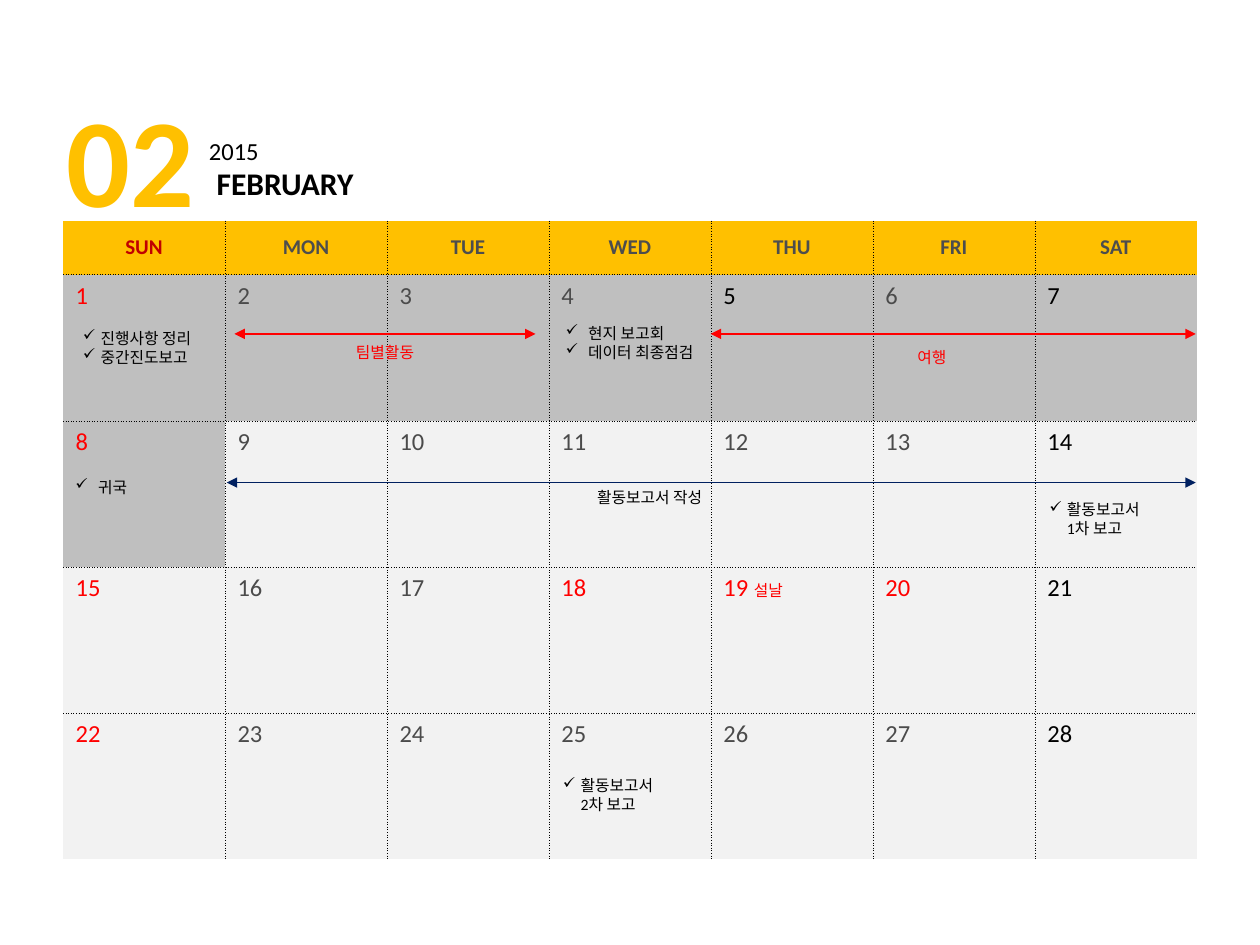
"""Build a monthly calendar slide for February 2015."""
from dataclasses import dataclass

from lxml import etree
from pptx import Presentation
from pptx import util as u
from pptx.dml.color import RGBColor
from pptx.enum import shapes, text
from pptx.oxml import ns

FONT = "Calibri"
BLACK, RED, NAVY, AMBER = "000000", "FF0000", "002060", "FFC000"
DARK_RED, HEADER_GRAY, DAY_GRAY = "C00000", "4D4D4D", "4B4B4B"
PAST, UPCOMING = "BFBFBF", "F2F2F2"
WEEKDAYS = ["SUN", "MON", "TUE", "WED", "THU", "FRI", "SAT"]
WEEKS = 4
HOLIDAYS = {18, 19, 20}
BLACK_DAYS = {5}
LAST_PAST_DAY = 8
LEFT, TOP, WIDTH = 0.5, 1.75, 9
HEADER_HEIGHT, WEEK_HEIGHT = 0.43, 1.16


@dataclass
class Label:
    text: str
    x: float
    y: float
    w: float
    h: float
    size: float = 9
    color: str = BLACK
    bold: bool = False
    centered: bool = False


@dataclass
class Checklist:
    lines: list[str]
    x: float
    y: float
    w: float
    h: float
    indent: float
    checked: int


@dataclass
class Span:
    x1: float
    x2: float
    y: float
    color: str


TITLE = Label("FEBRUARY", 1.62, 1.25, 1.35, 0.4, 18, bold=True)
LABELS = [
    Label("02", 0.43, 0.6, 1.25, 1.31, 72, AMBER, True),
    Label("2015", 1.56, 1.03, 0.62, 0.34, 14),
    Label("활동보고서 작성", 4.64, 3.82, 1.14, 0.25),
    Label("팀별활동", 2.7, 2.67, 0.71, 0.25, color=RED, centered=True),
    Label("여행", 7.17, 2.71, 0.45, 0.25, color=RED, centered=True),
]
CHECKLISTS = [
    Checklist(["활동보고서", "1차 보고"], 8.23, 3.92, 0.96, 0.4, 0.14, 1),
    Checklist(["활동보고서", "2차 보고"], 4.37, 6.11, 0.96, 0.4, 0.14, 1),
    Checklist(["진행사항 정리", "중간진도보고"], 0.56, 2.56, 1.12, 0.4, 0.14, 2),
    Checklist(["현지 보고회", "데이터 최종점검"], 4.39, 2.52, 1.27, 0.4, 0.18, 2),
    Checklist(["귀국"], 0.5, 3.74, 0.65, 0.25, 0.18, 1),
]
SPANS = [
    Span(1.8, 9.49, 3.83, NAVY),
    Span(1.86, 4.25, 2.65, RED),
    Span(5.64, 9.49, 2.65, RED),
]


def rgb(color: str) -> RGBColor:
    return RGBColor.from_string(color)


def set_font(font, size: float, color: str, bold: bool = False) -> None:
    font.name, font.size, font.bold = FONT, u.Pt(size), bold
    font.color.rgb = rgb(color)


def add_child(parent, tag: str, **attributes: str):
    return etree.SubElement(parent, ns.qn(tag), attributes)


def place(s, item) -> None:
    s.left, s.top = u.Inches(item.x), u.Inches(item.y)
    s.width, s.height = u.Inches(item.w), u.Inches(item.h)


def add_box(slide, item):
    s = slide.shapes.add_textbox(0, 0, 0, 0)
    place(s, item)
    s.text_frame.word_wrap = True
    return s


def write_label(s, label: Label) -> None:
    tf = s.text_frame
    tf.auto_size = text.MSO_AUTO_SIZE.NONE
    tf.vertical_anchor = text.MSO_ANCHOR.TOP
    p = tf.paragraphs[0]
    p.text = label.text
    p.alignment = text.PP_ALIGN.CENTER if label.centered else text.PP_ALIGN.LEFT
    set_font(p.font, label.size, label.color, label.bold)


def draw_checklist(slide, item: Checklist) -> None:
    tf = add_box(slide, item).text_frame
    for i, line in enumerate(item.lines):
        p = tf.paragraphs[0] if i == 0 else tf.add_paragraph()
        p.text = line
        pPr = p._p.get_or_add_pPr()
        pPr.set("marL", str(u.Inches(item.indent)))
        if i < item.checked:
            pPr.set("indent", str(-u.Inches(item.indent)))
            add_child(pPr, "a:buChar", char="✓")
        set_font(p.font, 9, BLACK)


def draw_span(slide, span: Span) -> None:
    s = slide.shapes.add_connector(
        shapes.MSO_CONNECTOR.STRAIGHT,
        u.Inches(span.x1), u.Inches(span.y), u.Inches(span.x2), u.Inches(span.y))
    s.line.color.rgb = rgb(span.color)
    s.line.width = u.Pt(0.75)
    ln = s.line._get_or_add_ln()
    for end in ("a:headEnd", "a:tailEnd"):
        add_child(ln, end, type="triangle")
    add_child(s._element.spPr, "a:effectLst")


def style_cell(cell, row: int, col: int, fill: str) -> None:
    tcPr = cell._tc.get_or_add_tcPr()
    inner = {"a:lnL": col > 0, "a:lnR": col < len(WEEKDAYS) - 1,
             "a:lnT": row > 0, "a:lnB": row < WEEKS}
    for tag, dotted in inner.items():
        ln = add_child(tcPr, tag, w=str(u.Pt(0.25)))
        if dotted:
            add_child(add_child(ln, "a:solidFill"), "a:srgbClr", val=BLACK)
            add_child(ln, "a:prstDash", val="sysDot")
        else:
            add_child(ln, "a:noFill")
    cell.fill.solid()
    cell.fill.fore_color.rgb = rgb(fill)


def day_color(day: int, col: int) -> str:
    if col == 0 or day in HOLIDAYS:
        return RED
    return BLACK if col == 6 or day in BLACK_DAYS else DAY_GRAY


def draw_calendar(slide) -> None:
    height = HEADER_HEIGHT + WEEKS * WEEK_HEIGHT
    table = slide.shapes.add_table(
        WEEKS + 1, len(WEEKDAYS), u.Inches(LEFT), u.Inches(TOP),
        u.Inches(WIDTH), u.Inches(height)).table
    table.first_row = table.horz_banding = False
    for row, table_row in enumerate(table.rows):
        table_row.height = u.Inches(WEEK_HEIGHT if row else HEADER_HEIGHT)
        for col, weekday in enumerate(WEEKDAYS):
            cell = table.cell(row, col)
            p = cell.text_frame.paragraphs[0]
            if row == 0:
                style_cell(cell, row, col, AMBER)
                cell.vertical_anchor = text.MSO_ANCHOR.MIDDLE
                p.text, p.alignment = weekday, text.PP_ALIGN.CENTER
                set_font(p.font, 12, HEADER_GRAY if col else DARK_RED, True)
                continue
            day = (row - 1) * len(WEEKDAYS) + col + 1
            style_cell(cell, row, col, PAST if day <= LAST_PAST_DAY else UPCOMING)
            p.text = str(day)
            set_font(p.font, 14, day_color(day, col))
            if day == 19:
                p.runs[0].text = "19 "
                r = p.add_run()
                r.text = "설날"
                r.font.size = u.Pt(9)


def main() -> None:
    prs = Presentation()
    prs.slide_width, prs.slide_height = u.Inches(10), u.Inches(7.5)
    slide = prs.slides.add_slide(prs.slide_layouts[5])
    place(slide.shapes.title, TITLE)
    write_label(slide.shapes.title, TITLE)
    draw_calendar(slide)
    for label in LABELS:
        write_label(add_box(slide, label), label)
    for span in SPANS:
        draw_span(slide, span)
    for checklist in CHECKLISTS:
        draw_checklist(slide, checklist)
    prs.save("out.pptx")


if __name__ == "__main__":
    main()
